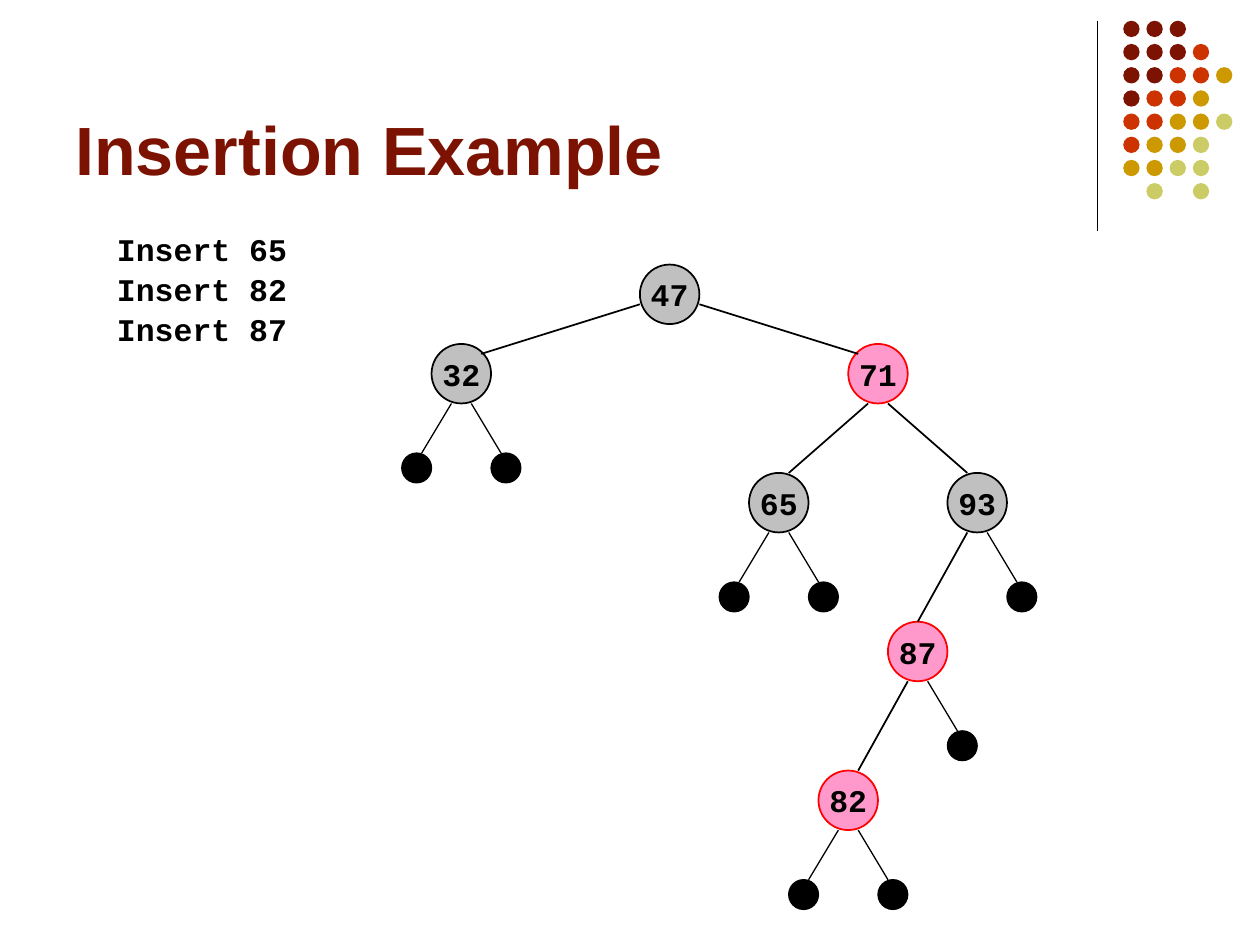
import pptx
import pptx.dml.color
import pptx.enum.shapes
import pptx.enum.text
import pptx.oxml.ns
import pptx.util
from lxml import etree

COLORS = {
    "black": "000000", "red": "FF0000", "gray": "C0C0C0", "pink": "FF99CC",
    "maroon": "7C1302", "brick": "CC3300", "gold": "CC9900", "olive": "CCCC66",
}
UNIT = 10 / 127  # the tree's grid: the slide is 127 columns wide
ROOT_COLUMN, ROOT_ROW = 67.5, 29.67
NODE_SIZE, LEAF_SIZE = 6, 3

# value: column and row of the centre from the root, colour, sides with a leaf
NODES = {
    "47": (0, 0, "black", ()),
    "32": (-21, 8, "black", (-1, 1)),
    "71": (21, 8, "red", ()),
    "65": (11, 21, "black", (-1, 1)),
    "93": (31, 21, "black", (1,)),
    "87": (25, 36, "red", (1,)),
    "82": (18, 51, "red", (-1, 1)),
}
# parent, child, and where the edge touches each, measured from its centre
EDGES = [
    ("47", "32", (-3, 1), (2, -2)),
    ("47", "71", (3, 1), (-2, -2)),
    ("71", "65", (-1, 3), (1, -3)),
    ("71", "93", (1, 3), (-1, -3)),
    ("93", "87", (-1, 3), (0, -3)),
    ("87", "82", (-1, 3), (1, -3)),
]
DOT_COLORS = {"m": "maroon", "b": "brick", "g": "gold", "o": "olive"}
DOT_ROWS = ["mmm", "mmmb", "mmbbg", "mbbg", "bbggo", "bggo", "ggoo", ".o.o"]


def rgb(name):
    return pptx.dml.color.RGBColor.from_string(COLORS[name])


def add_circle(slide, center_x, center_y, size, fill, line=None, width=1):
    left, top = center_x - size / 2, center_y - size / 2
    circle = slide.shapes.add_shape(
        pptx.enum.shapes.MSO_SHAPE.OVAL,
        *[pptx.util.Inches(value) for value in (left, top, size, size)])
    circle.shadow.inherit = False
    circle.fill.solid()
    circle.fill.fore_color.rgb = rgb(fill)
    if line:
        circle.line.color.rgb = rgb(line)
        circle.line.width = pptx.util.Pt(width)
    else:
        circle.line.fill.background()
    return circle


def add_line(slide, start, end, width):
    line = slide.shapes.add_connector(
        pptx.enum.shapes.MSO_CONNECTOR.STRAIGHT,
        *[pptx.util.Inches(value) for value in (*start, *end)])
    line.line.color.rgb = rgb("black")
    line.line.width = pptx.util.Pt(width)
    etree.SubElement(line._element.spPr, pptx.oxml.ns.qn("a:effectLst"))


def set_text(shape, text, font_name, size, color):
    shape.text_frame.text = text
    font = shape.text_frame.paragraphs[0].runs[0].font
    font.name, font.size, font.bold = font_name, pptx.util.Pt(size), True
    font.color.rgb = rgb(color)


def add_text(slide, box, text, font_name, size, color):
    text_box = slide.shapes.add_textbox(
        *[pptx.util.Inches(value) for value in box])
    text_box.text_frame.word_wrap = True
    set_text(text_box, text, font_name, size, color)
    return text_box


def tree_point(value, offset=(0, 0)):
    """Slide position, in inches, of an offset from a node's centre."""
    column, row = NODES[value][:2]
    return ((ROOT_COLUMN + column + offset[0]) * UNIT,
            (ROOT_ROW + row + offset[1]) * UNIT)


def add_node(slide, value):
    color = NODES[value][2]
    fill = "pink" if color == "red" else "gray"
    node = add_circle(slide, *tree_point(value), NODE_SIZE * UNIT, fill, color)
    set_text(node, value, "Courier New", 18, "black")
    frame = node.text_frame
    frame.word_wrap = False
    frame.margin_left = frame.margin_right = 0
    frame.margin_top = frame.margin_bottom = 0
    frame.vertical_anchor = pptx.enum.text.MSO_ANCHOR.MIDDLE
    frame.paragraphs[0].alignment = pptx.enum.text.PP_ALIGN.CENTER


def add_leaf(slide, value, side):
    """Hang an empty leaf on the left (-1) or right (1) of a node."""
    add_line(slide, tree_point(value, (side, 3)),
             tree_point(value, (4 * side, 8)), 0.75)
    add_circle(slide, *tree_point(value, (4.5 * side, 9.5)),
               LEAF_SIZE * UNIT, "black", "black", 0.75)


def add_tree(slide):
    for value, (_, _, _, leaf_sides) in NODES.items():
        add_node(slide, value)
        for side in leaf_sides:
            add_leaf(slide, value, side)
    for parent, child, start, end in EDGES:
        add_line(slide, tree_point(parent, start), tree_point(child, end), 1)


def add_corner_dots(slide):
    add_line(slide, (8.71, 0.17), (8.71, 1.83), 0.75)
    pitch = 0.184
    for row, letters in enumerate(DOT_ROWS):
        for column, letter in enumerate(letters):
            if letter in DOT_COLORS:
                add_circle(slide, 8.98 + column * pitch, 0.23 + row * pitch,
                           0.13, DOT_COLORS[letter])


def main():
    presentation = pptx.Presentation()
    presentation.slide_width = pptx.util.Inches(10)
    presentation.slide_height = pptx.util.Inches(7.5)
    slide = presentation.slides.add_slide(presentation.slide_layouts[6])
    add_corner_dots(slide)
    title = add_text(slide, (0.5, 0.13, 8.25, 1.42), "Insertion Example",
                     "Arial", 39, "maroon")
    title.text_frame.vertical_anchor = pptx.enum.text.MSO_ANCHOR.BOTTOM
    for index, value in enumerate(("65", "82", "87")):
        add_text(slide, (0.83, 1.78 + index * 4 * UNIT, 2.6, 0.4),
                 f"Insert {value}", "Courier New", 18, "black")
    add_tree(slide)
    presentation.save("out.pptx")


if __name__ == "__main__":
    main()
